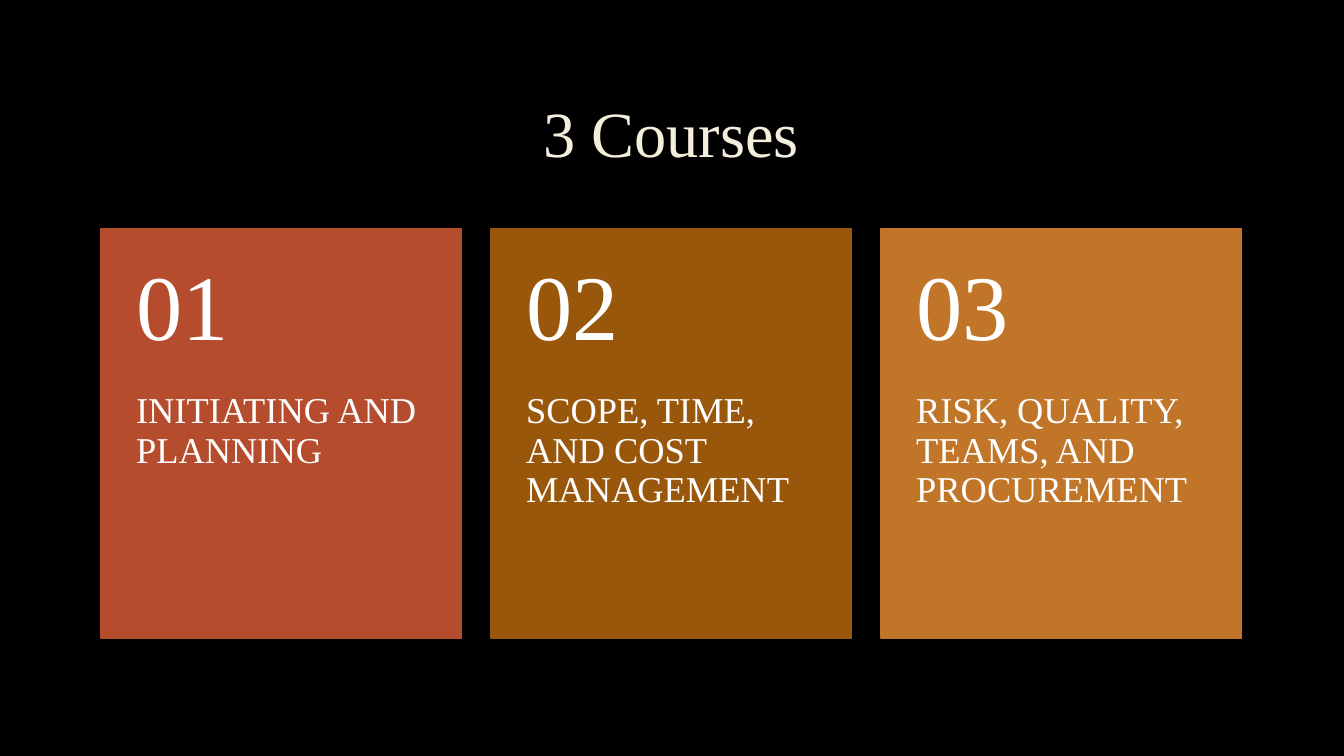
from dataclasses import dataclass

from pptx import Presentation
from pptx.dml.color import RGBColor as Rgb
from pptx.enum.shapes import MSO_SHAPE as Shape
from pptx.enum.text import MSO_ANCHOR as Anchor, PP_ALIGN as Align
from pptx.util import Cm, Pt


@dataclass(frozen=True)
class Theme:
    font: str = "Times New Roman"
    back: str = "000000"
    cream: str = "F4EEDC"
    white: str = "FFFFFF"
    cards: tuple = ("B54C2D", "99570C", "C17529")
    title: int = 46
    number: int = 66
    body: int = 26
    edge: float = 1.25


THEME = Theme()
COURSES = (
    "INITIATING AND PLANNING",
    "SCOPE, TIME, AND COST MANAGEMENT",
    "RISK, QUALITY, TEAMS, AND PROCUREMENT",
)

# Card grid, in centimetres
LEFT, TOP = 2.54, 5.77
WIDTH, HEIGHT = 9.09, 10.31
STEP = 9.83
HEAD = 4.12
SIDE = 0.89


def add_text(slide, text, box, size, color, pads, anchor=Anchor.TOP,
             align=Align.LEFT):
    """Place one paragraph; pads are left, top, right and bottom."""
    frame = slide.shapes.add_textbox(*map(Cm, box)).text_frame
    frame.word_wrap = True
    frame.vertical_anchor = anchor
    (frame.margin_left, frame.margin_top,
     frame.margin_right, frame.margin_bottom) = map(Cm, pads)
    para = frame.paragraphs[0]
    para.alignment = align
    para.line_spacing = 0.9
    run = para.add_run()
    run.text = text
    run.font.name = THEME.font
    run.font.size = Pt(size)
    run.font.color.rgb = Rgb.from_string(color)


def add_panel(slide, box, color):
    panel = slide.shapes.add_shape(Shape.RECTANGLE, *map(Cm, box))
    panel.shadow.inherit = False
    panel.fill.solid()
    panel.fill.fore_color.rgb = Rgb.from_string(color)
    panel.line.color.rgb = Rgb.from_string(color)
    panel.line.width = Pt(THEME.edge)


def add_card(slide, index, course, color):
    left = LEFT + index * STEP
    add_panel(slide, (left, TOP, WIDTH, HEIGHT), color)
    add_text(slide, course, (left, TOP + HEAD, WIDTH, HEIGHT - HEAD),
             THEME.body, THEME.white, (SIDE, 0, SIDE, 0.91))
    add_text(slide, f"{index + 1:02}", (left, TOP, WIDTH, HEAD),
             THEME.number, THEME.white, (SIDE, 0.46, SIDE, 0.46),
             Anchor.MIDDLE)


def main():
    deck = Presentation()
    deck.slide_width, deck.slide_height = Cm(33.87), Cm(19.05)
    slide = deck.slides.add_slide(deck.slide_layouts[6])

    # Background
    fill = slide.background.fill
    fill.solid()
    fill.fore_color.rgb = Rgb.from_string(THEME.back)

    # Title
    add_text(slide, "3 Courses", (LEFT, 1.7, 28.75, 3.51), THEME.title,
             THEME.cream, (0.25, 0.13, 0.25, 0.13), Anchor.MIDDLE,
             Align.CENTER)

    # Course cards
    for index, (course, color) in enumerate(zip(COURSES, THEME.cards)):
        add_card(slide, index, course, color)

    deck.save("out.pptx")


if __name__ == "__main__":
    main()
